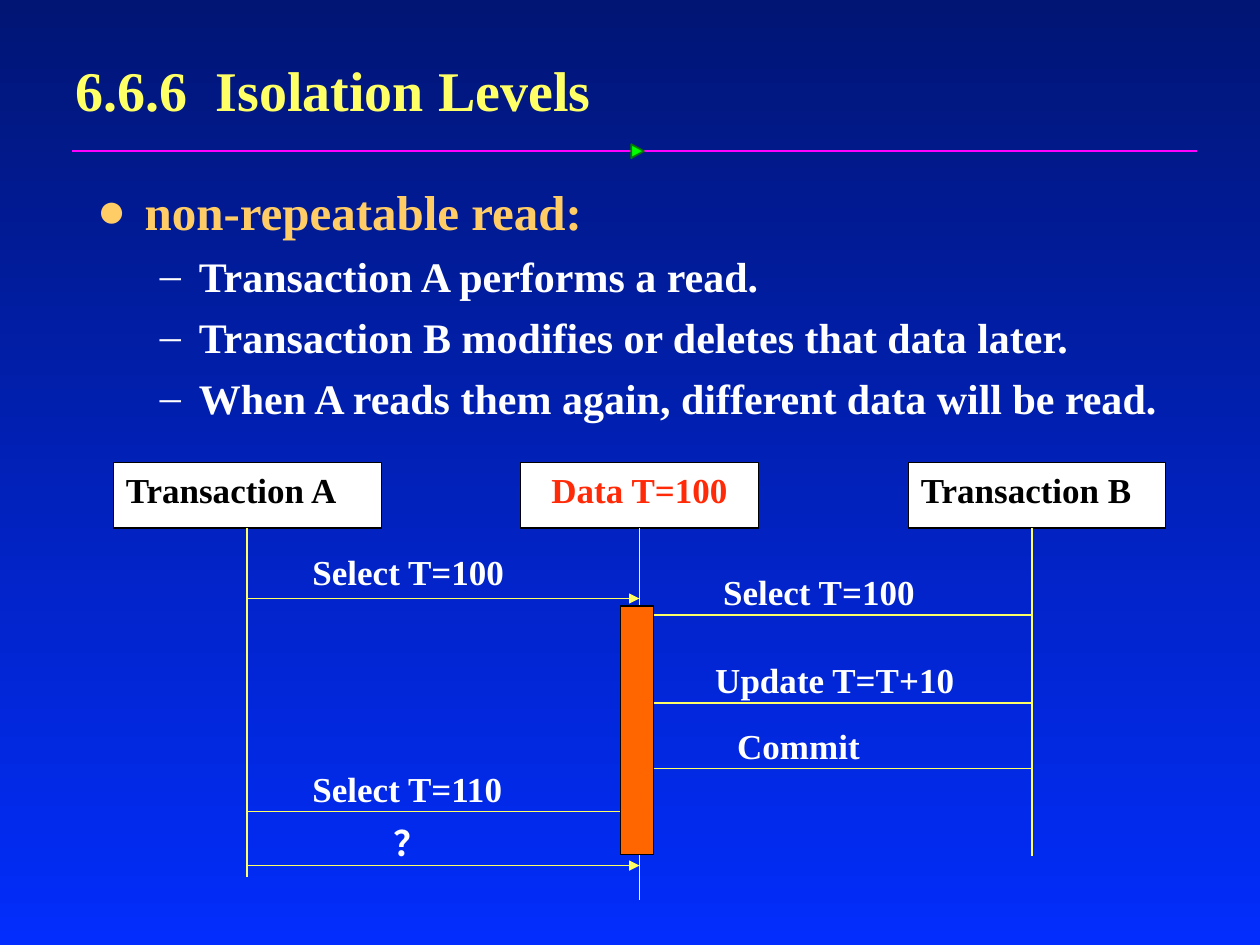
import dataclasses

import lxml.etree
import pptx
import pptx.dml.color
import pptx.enum.dml
import pptx.enum.shapes
import pptx.enum.text
import pptx.oxml.ns
import pptx.util

Inches = pptx.util.Inches
Pt = pptx.util.Pt
Align = pptx.enum.text.PP_ALIGN
Anchor = pptx.enum.text.MSO_ANCHOR
Shape = pptx.enum.shapes.MSO_SHAPE


@dataclasses.dataclass(frozen=True)
class Theme:
    font: str = "Times New Roman"
    background_top: str = "011575"
    background_bottom: str = "022DFC"
    title: str = "FFFF66"
    heading: str = "FFCC66"
    text: str = "FFFFFF"
    rule: str = "FF01FF"
    marker: str = "00FF00"
    marker_edge: str = "037C03"
    box: str = "FFFFFF"
    edge: str = "000000"
    data: str = "FF2A07"
    line: str = "FFFF66"
    activation: str = "FF6600"
    title_size: int = 32
    heading_size: int = 28
    point_size: int = 24
    label_size: int = 20
    thin: float = 0.75


THEME = Theme()


def rgb(value):
    return pptx.dml.color.RGBColor.from_string(value)


def add_xml(parent, tag, **attributes):
    return lxml.etree.SubElement(parent, pptx.oxml.ns.qn(tag), attributes)


def add_run(paragraph, text, size, color):
    run = paragraph.add_run()
    run.text = text
    run.font.name = THEME.font
    run.font.size = Pt(size)
    run.font.bold = True
    run.font.color.rgb = rgb(color)


def add_bullet(paragraph, character, margin, hanging):
    properties = paragraph._p.get_or_add_pPr()
    properties.set("marL", str(Inches(margin)))
    properties.set("indent", str(-Inches(hanging)))
    add_xml(properties, "a:buFont", typeface=THEME.font)
    add_xml(properties, "a:buChar", char=character)


def add_line(slide, start, end, color=THEME.line, width=THEME.thin, arrow=False):
    points = [Inches(value) for value in (*start, *end)]
    line = slide.shapes.add_connector(pptx.enum.shapes.MSO_CONNECTOR.STRAIGHT, *points)
    line.line.color.rgb = rgb(color)
    line.line.width = Pt(width)
    if arrow:
        add_xml(line.line._get_or_add_ln(), "a:tailEnd", type="triangle")
    add_xml(line._element.spPr, "a:effectLst")


def add_filled_shape(slide, kind, box, fill, edge, width=THEME.thin):
    shape = slide.shapes.add_shape(kind, *map(Inches, box))
    shape.shadow.inherit = False
    shape.fill.solid()
    shape.fill.fore_color.rgb = rgb(fill)
    shape.line.color.rgb = rgb(edge)
    shape.line.width = Pt(width)
    return shape


def add_label(slide, box, text, alignment):
    frame = slide.shapes.add_textbox(*map(Inches, box)).text_frame
    frame.word_wrap = True
    frame.margin_left = frame.margin_right = frame.margin_top = frame.margin_bottom = 0
    paragraph = frame.paragraphs[0]
    paragraph.alignment = alignment
    add_run(paragraph, text, THEME.label_size, THEME.text)


def paint_background(slide):
    fill = slide.background.fill
    fill.gradient()
    fill.gradient_angle = 270
    colors = (THEME.background_top, THEME.background_bottom)
    for stop, color in zip(fill.gradient_stops, colors):
        stop.color.rgb = rgb(color)


def add_title(slide, box, text):
    title = slide.shapes.title
    title.left, title.top, title.width, title.height = map(Inches, box)
    title.text_frame.vertical_anchor = Anchor.MIDDLE
    paragraph = title.text_frame.paragraphs[0]
    paragraph.alignment = Align.LEFT
    add_run(paragraph, text, THEME.title_size, THEME.title)


def add_title_rule(slide, box):
    """Rule across the middle of the box, with a marker at its centre."""
    left, top, width, height = box
    middle = top + height / 2
    add_line(slide, (left, middle), (left + width, middle), THEME.rule, 1)
    marker_box = (left + width / 2 - 0.03, top, 0.11, height)
    marker = add_filled_shape(slide, Shape.ISOSCELES_TRIANGLE, marker_box,
                              THEME.marker, THEME.marker_edge, 1)
    marker.rotation = 90


def add_points(slide, box, heading, points):
    frame = slide.shapes.add_textbox(*map(Inches, box)).text_frame
    frame.word_wrap = True
    paragraph = frame.paragraphs[0]
    paragraph.space_before = Pt(5)
    add_bullet(paragraph, "●", 0.38, 0.38)
    add_run(paragraph, heading, THEME.heading_size, THEME.heading)
    for point in points:
        paragraph = frame.add_paragraph()
        paragraph.level = 1
        paragraph.space_before = Pt(6)
        add_bullet(paragraph, "–", 0.81, 0.31)
        add_run(paragraph, point, THEME.point_size, THEME.text)


def add_sequence_diagram(slide, box):
    left, top, width, height = box
    head_height = 0.52
    lifeline_a, lifeline_data, lifeline_b = (left + 1.06 + 3.115 * i for i in range(3))

    # name, left, width, lifeline, lifeline end, alignment, colour
    participants = [
        ("Transaction A", 0, 2.13, lifeline_a, height - 0.18, Align.LEFT, THEME.edge),
        ("Data T=100", 3.23, 1.89, lifeline_data, height, Align.CENTER, THEME.data),
        ("Transaction B", width - 2.04, 2.04, lifeline_b, height - 0.35, Align.LEFT, THEME.edge),
    ]
    for name, offset, head_width, lifeline, end, alignment, color in participants:
        head_box = (left + offset, top, head_width, head_height)
        head = add_filled_shape(slide, Shape.RECTANGLE, head_box, THEME.box, THEME.edge)
        head.text_frame.vertical_anchor = Anchor.TOP
        paragraph = head.text_frame.paragraphs[0]
        paragraph.alignment = alignment
        add_run(paragraph, name, THEME.label_size, color)
        add_line(slide, (lifeline, top + head_height), (lifeline, top + end))

    # sender, arrow height, text, label left, label width, alignment
    messages = [
        (lifeline_a, 1.08, "Select T=100", 1.58, 1.82, Align.LEFT),
        (lifeline_b, 1.21, "Select T=100", 4.69, 1.82, Align.CENTER),
        (lifeline_b, 1.91, "Update T=T+10", 4.43, 2.59, Align.CENTER),
        (lifeline_b, 2.43, "Commit", 4.95, 1.56, Align.LEFT),
        (lifeline_a, 2.77, "Select T=110", 1.58, 1.82, Align.LEFT),
        (lifeline_a, 3.2, "？", 2.1, 0.52, Align.CENTER),
    ]
    label_height = 0.35
    for sender, offset, text, label_left, label_width, alignment in messages:
        y = top + offset
        add_line(slide, (sender, y), (lifeline_data, y), arrow=True)
        label_top = y - label_height - (0.03 if offset == 1.08 else 0)
        add_label(slide, (left + label_left, label_top, label_width, label_height),
                  text, alignment)

    activation_box = (lifeline_data - 0.15, top + 1.14, 0.26, 1.97)
    add_filled_shape(slide, Shape.RECTANGLE, activation_box, THEME.activation, THEME.edge)


def main():
    presentation = pptx.Presentation()
    presentation.slide_width = Inches(10)
    presentation.slide_height = Inches(7.5)
    slide = presentation.slides.add_slide(presentation.slide_layouts.get_by_name("Title Only"))
    paint_background(slide)
    add_title(slide, (0.5, 0.33, 7.58, 0.75), "6.6.6  Isolation Levels")
    add_points(slide, (0.67, 1.39, 8.65, 2.05), "non-repeatable read:", [
        "Transaction A performs a read.",
        "Transaction B modifies or deletes that data later.",
        "When A reads them again, different data will be read.",
    ])
    add_title_rule(slide, (0.57, 1.15, 8.93, 0.1))
    add_sequence_diagram(slide, (0.9, 3.67, 8.35, 3.47))
    presentation.save("out.pptx")


if __name__ == "__main__":
    main()
